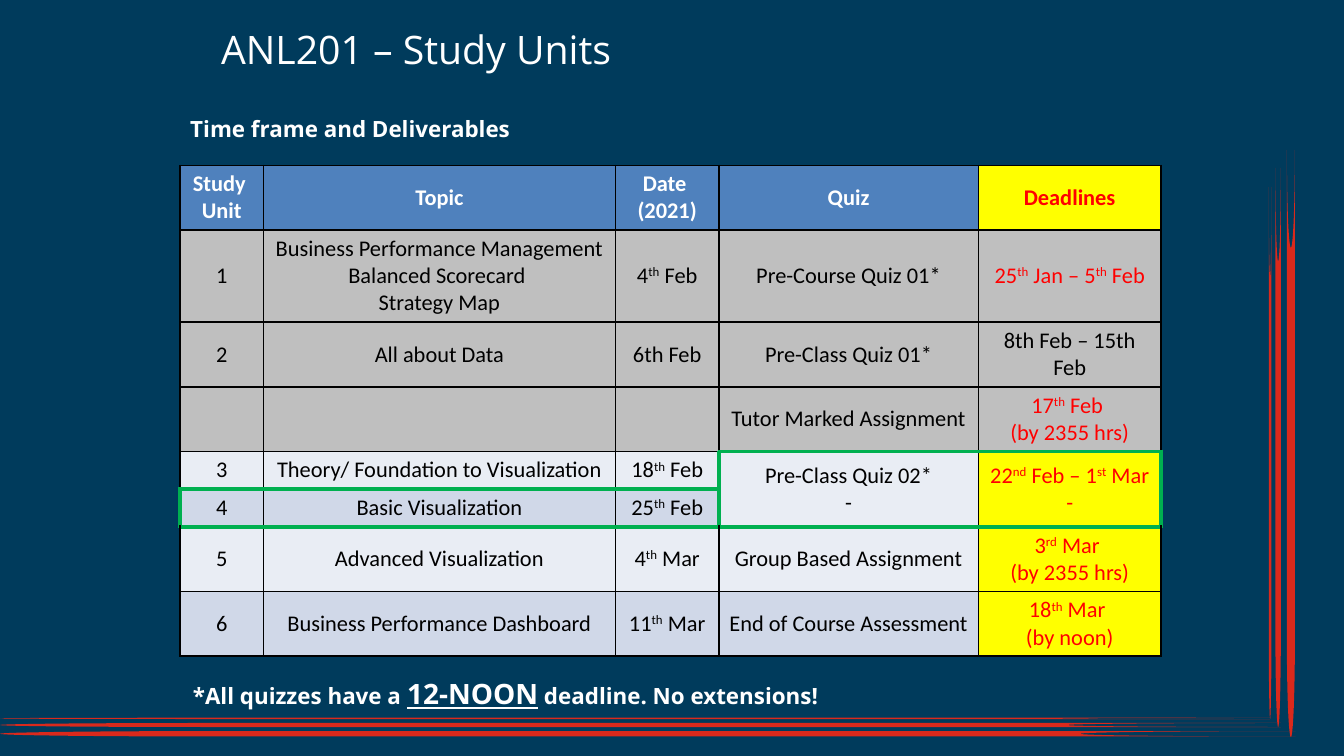
from dataclasses import dataclass

from lxml.etree import SubElement as Sub
from pptx import Presentation
from pptx.dml.color import RGBColor as Rgb
from pptx.enum.shapes import MSO_SHAPE as Kind
from pptx.enum.text import MSO_ANCHOR as Anchor, MSO_AUTO_SIZE as Fit, PP_ALIGN as Align
from pptx.oxml.ns import qn
from pptx.util import Inches, Pt


@dataclass(frozen=True)
class Theme:
    navy: str = "003B5C"
    stripe: str = "DA291C"
    white: str = "FFFFFF"
    black: str = "000000"
    red: str = "FF0000"
    green: str = "00B050"
    yellow: str = "FFFF00"
    blue: str = "4F81BD"
    gray: str = "BFBFBF"
    pale: str = "E9EDF4"
    mist: str = "D0D8E8"
    head: str = "Open Sans"
    body: str = "Calibri"
    title: float = 21
    large: float = 15
    text: float = 12
    thin: float = 1
    thick: float = 2.25
    side: float = 5.4
    edge: float = 2.7


T = Theme()

COLS = [0.62, 2.62, 0.77, 1.93, 1.36]
ROWS = [0.47, 0.68, 0.28, 0.47, 0.28, 0.28, 0.47, 0.47]
FILLS = [T.blue, T.gray, T.gray, T.gray, T.pale, T.mist, T.pale, T.mist]
LAST = len(COLS) - 1
UNITS = [
    ["Study \nUnit", "Topic", "Date \n(2021)", "Quiz", "Deadlines"],
    ["1", "Business Performance Management\nBalanced Scorecard \nStrategy Map",
     "4^th^ Feb", "Pre-Course Quiz 01*", "25^th^ Jan – 5^th^ Feb"],
    ["2", "All about Data", "6th Feb", "Pre-Class Quiz 01*", "8th Feb – 15th Feb"],
    ["", "", "", "Tutor Marked Assignment", "17^th^ Feb \n(by 2355 hrs)"],
    ["3", "Theory/ Foundation to Visualization", "18^th^ Feb",
     "Pre-Class Quiz 02*\n-", "22^nd^ Feb – 1^st^ Mar\n-"],
    ["4", "Basic Visualization", "25^th^ Feb", "", ""],
    ["5", "Advanced Visualization", "4^th^ Mar", "Group Based Assignment",
     "3^rd^ Mar \n(by 2355 hrs)"],
    ["6", "Business Performance Dashboard", "11^th^ Mar",
     "End of Course Assessment", "18^th^ Mar \n(by noon)"],
]
MERGED = [(4, 3), (4, 4)]
BOXED = set(MERGED) | {(5, col) for col in range(len(COLS))}


def add_run(para, text, size, face, color, bold=False):
    run = para.add_run()
    run.text = text
    font = run.font
    font.size, font.name, font.bold = Pt(size), face, bold
    font.color.rgb = Rgb.from_string(color)
    return run


def place(shape, left, top, width, height):
    shape.left, shape.top = Inches(left), Inches(top)
    shape.width, shape.height = Inches(width), Inches(height)


def pad(area):
    area.margin_left = area.margin_right = Pt(T.side)
    area.margin_top = area.margin_bottom = Pt(T.edge)


def set_frame(shape):
    frame = shape.text_frame
    frame.word_wrap, frame.auto_size = True, Fit.NONE
    frame.vertical_anchor = Anchor.TOP
    pad(frame)
    para = frame.paragraphs[0]
    para.alignment = Align.LEFT
    return para


def hang(para):
    para.space_before = Pt(0.2 * T.text)
    props = para._p.get_or_add_pPr()
    props.set("marL", str(Inches(0.28)))
    props.set("indent", str(Inches(-0.28)))
    Sub(props, qn("a:buNone"))


def add_stripe(slide, left, top, width, height, turn):
    stripe = slide.shapes.add_shape(
        Kind.FLOWCHART_STORED_DATA, *map(Inches, (left, top, width, height)))
    stripe.rotation = turn
    stripe.shadow.inherit = False
    stripe.fill.solid()
    stripe.fill.fore_color.rgb = Rgb.from_string(T.stripe)
    stripe.line.fill.background()


def add_stripes(slide):
    for top, width, height in [(5.34, 9.45, 0.01), (5.38, 9.53, 0.03), (5.44, 9.64, 0.04)]:
        add_stripe(slide, 0, top, width, height, 0)
    for left, top, width, height in [
            (7.47, 3.36, 3.96, 0.02), (7.43, 3.31, 4.16, 0.04), (7.42, 3.27, 4.37, 0.06)]:
        add_stripe(slide, left, top, width, height, 270)


def add_heads(slide):
    title, body = slide.placeholders
    place(title, 1.57, 0.18, 6.19, 0.5)
    para = set_frame(title)
    para.line_spacing = 0.95
    add_run(para, "ANL201 – Study Units", T.title, T.head, T.white)
    place(body, 1.34, 0.82, 6.19, 0.25)
    para = set_frame(body)
    hang(para)
    add_run(para, "Time frame and Deliverables", T.text, T.head, T.white, True)


def add_edges(cell, row, col):
    sides = {
        "L": (row, col - 1), "R": (row, col + 1),
        "T": (row - 1, col), "B": (row + cell.span_height, col),
    }
    props = cell._tc.get_or_add_tcPr()
    for side, near in sides.items():
        edge = ((row, col) in BOXED) != (near in BOXED)
        width, color = (T.thick, T.green) if edge else (T.thin, T.black)
        line = Sub(props, qn("a:ln" + side), w=str(Pt(width)))
        Sub(Sub(line, qn("a:solidFill")), qn("a:srgbClr"), val=color)


def fill_cell(cell, text, fill, color, bold):
    cell.vertical_anchor = Anchor.MIDDLE
    pad(cell)
    cell.fill.solid()
    cell.fill.fore_color.rgb = Rgb.from_string(fill)
    frame = cell.text_frame
    for i, line in enumerate(text.split("\n")):
        para = frame.add_paragraph() if i else frame.paragraphs[0]
        para.alignment = Align.CENTER
        para.font.size = Pt(T.text)
        for j, part in enumerate(line.split("^")):
            if part:
                run = add_run(para, part, T.text, T.body, color, bold)
                if j % 2:
                    run.font._element.set("baseline", "30000")


def pick_style(row, col):
    fill, color = FILLS[row], T.black if row else T.white
    if col == LAST:
        fill = T.yellow if row == 0 or row > 3 else fill
        color = T.black if row == 2 else T.red
    return fill, color


def add_units(slide):
    table = slide.shapes.add_table(
        len(ROWS), len(COLS), Inches(1.34), Inches(1.23),
        Inches(sum(COLS)), Inches(sum(ROWS))).table
    table.first_row = table.horz_banding = False
    for col, width in zip(table.columns, COLS):
        col.width = Inches(width)
    for row, height in zip(table.rows, ROWS):
        row.height = Inches(height)
    for row, col in MERGED:
        table.cell(row, col).merge(table.cell(row + 1, col))
    for row, line in enumerate(UNITS):
        for col, text in enumerate(line):
            cell = table.cell(row, col)
            add_edges(cell, row, col)
            fill_cell(cell, text, *pick_style(row, col), row == 0)


def add_note(slide):
    box = slide.shapes.add_textbox(*map(Inches, (1.36, 5, 6.19, 0.25)))
    para = set_frame(box)
    hang(para)
    add_run(para, "*All quizzes have a ", T.text, T.head, T.white, True)
    add_run(para, "12-NOON", T.large, T.head, T.white, True).font.underline = True
    add_run(para, " deadline. No extensions!", T.text, T.head, T.white, True)


def main():
    deck = Presentation()
    deck.slide_width = Inches(10)
    deck.slide_height = deck.slide_width * 9 // 16
    slide = deck.slides.add_slide(deck.slide_layouts[1])
    back = slide.background.fill
    back.solid()
    back.fore_color.rgb = Rgb.from_string(T.navy)
    add_stripes(slide)
    add_heads(slide)
    add_units(slide)
    add_note(slide)
    deck.save("out.pptx")


if __name__ == "__main__":
    main()
